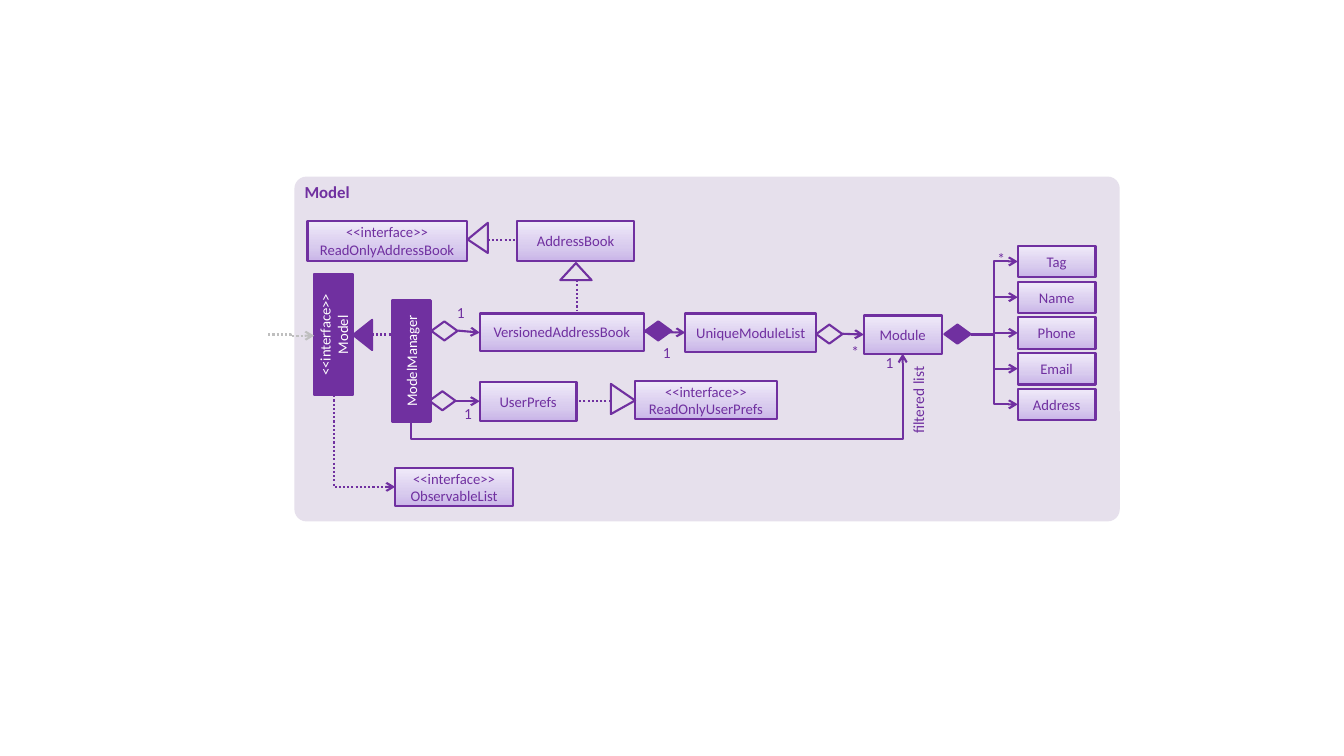
from pptx import Presentation
from pptx.dml.color import RGBColor
from pptx.enum.dml import MSO_LINE as Dash
from pptx.enum.shapes import MSO_CONNECTOR as Con, MSO_SHAPE as Geo
from pptx.enum.text import MSO_ANCHOR as Anchor, MSO_AUTO_SIZE as Fit, PP_ALIGN as Align
from pptx.oxml import parse_xml
from pptx.oxml.ns import nsdecls, qn
from pptx.util import Cm, Pt

VIOLET, LILAC, WHITE, GREY = "7030A0", "E6E0EC", "FFFFFF", "BFBFBF"
STOPS = ((0, "C9B5E8"), (35, "D8CBEE"), (100, "F0EAF9"))


def ink(code):
    return RGBColor.from_string(code)


def node(tag, attrs="", body=""):
    return parse_xml(f'<a:{tag} {nsdecls("a")} {attrs}>{body}</a:{tag}>')


def put(item, values):
    for name, value in values.items():
        setattr(item, name, value)


class Board:
    """Draws the elements of a class diagram on one slide."""

    def __init__(self, slide):
        self.slide = slide
        self.shapes = slide.shapes
        self.face = {"name": "Calibri", "size": Pt(10.5), "bold": False}
        self.pen = {"width": Pt(1.5)}

    def letter(self, shape, text, color=VIOLET, align=Align.CENTER, frame=None, **face):
        body = shape.text_frame
        body.text = text
        put(body, {"word_wrap": True, **(frame or {})})
        for para in body.paragraphs:
            para.alignment = align
            put(para.font, {**self.face, **face})
            para.font.color.rgb = ink(color)

    def shape(self, geo, spot, fill=None, line=VIOLET, turn=0, adj=None):
        item = self.shapes.add_shape(geo, *map(Cm, spot))
        item.shadow.inherit = False
        item.rotation = turn
        if adj is not None:
            item.adjustments[0] = adj
        if fill:
            item.fill.solid()
            item.fill.fore_color.rgb = ink(fill)
        else:
            item.fill.background()
        if line:
            put(item.line, self.pen)
            item.line.color.rgb = ink(line)
        else:
            item.line.fill.background()
        return item

    def panel(self, text, spot):
        back = self.shape(Geo.ROUNDED_RECTANGLE, spot, LILAC, None, adj=0.035)
        title = self.shapes.title
        left, top = spot[:2]
        put(title, {"left": Cm(left), "top": Cm(top), "width": Cm(5), "height": Cm(0.9)})
        self.letter(title, text, align=Align.LEFT, size=Pt(12), bold=True,
                    frame={"vertical_anchor": Anchor.TOP, "auto_size": Fit.NONE})
        back._element.addnext(title._element)

    def box(self, text, *spot):
        item = self.shape(Geo.RECTANGLE, spot)
        stops = "".join(f'<a:gs pos="{at * 1000}"><a:srgbClr val="{code}"/></a:gs>'
                        for at, code in STOPS)
        fade = node("gradFill", 'rotWithShape="1"',
                    f'<a:gsLst>{stops}</a:gsLst><a:lin ang="16200000" scaled="0"/>')
        props = item._element.spPr
        props.replace(props.find(qn("a:noFill")), fade)
        self.letter(item, text, frame={"vertical_anchor": Anchor.MIDDLE})

    def tower(self, text, *spot):
        item = self.shape(Geo.RECTANGLE, spot, VIOLET, turn=270)
        self.letter(item, text, WHITE, frame={"vertical_anchor": Anchor.MIDDLE})

    def label(self, text, spot, turn=0, align=Align.CENTER, inset=0):
        item = self.shapes.add_textbox(*map(Cm, spot))
        item.rotation = turn
        sides = ("margin_left", "margin_right", "margin_top", "margin_bottom")
        frame = dict.fromkeys(sides, Cm(inset))
        self.letter(item, text, align=align, size=Pt(11), frame=frame)

    def wire(self, *ends, kind=Con.STRAIGHT, color=VIOLET, dots=False, arrow=True,
             turn=0, geo=None, adj=None):
        item = self.shapes.add_connector(kind, *map(Cm, ends))
        put(item.line, self.pen)
        item.line.color.rgb = ink(color)
        if dots:
            item.line.dash_style = Dash.ROUND_DOT
        props = item._element.spPr
        if arrow:
            props.find(qn("a:ln")).append(node("tailEnd", 'type="arrow"'))
        if turn:
            props.find(qn("a:xfrm")).set("rot", str(turn * 60000))
        shape = props.find(qn("a:prstGeom"))
        if geo:
            shape.set("prst", geo)
        if adj is not None:
            guide = node("gd", f'name="adj1" fmla="val {adj}"')
            shape.find(qn("a:avLst")).append(guide)
        props.append(node("effectLst"))


deck = Presentation()
put(deck, {"slide_width": Cm(33.87), "slide_height": Cm(19.05)})
board = Board(deck.slides.add_slide(deck.slide_layouts[5]))
board.panel("Model", (7.42, 4.45, 20.8, 8.69))

board.tower("ModelManager", 8.84, 8.61, 3.05, 0.97)
board.tower("<<interface>>\nModel", 6.88, 7.95, 3.05, 0.97)

for text, *spot in (
    ("UserPrefs", 12.09, 9.63, 2.44, 0.97),
    ("VersionedAddressBook", 12.09, 7.9, 4.14, 0.94),
    ("UniqueModuleList", 17.27, 7.9, 3.3, 0.97),
    ("Module", 21.77, 7.95, 1.96, 0.97),
    ("<<interface>>\vReadOnlyAddressBook", 7.75, 5.56, 4.01, 1.02),
    ("AddressBook", 13.03, 5.56, 2.95, 1.02),
    ("<<interface>>\vObservableList", 9.96, 11.79, 2.97, 0.97),
    ("<<interface>>\nReadOnlyUserPrefs", 16, 9.6, 3.58, 0.97),
):
    board.box(text, *spot)

for row, text in enumerate(("Tag", "Name", "Phone", "Email", "Address")):
    top = 6.2 + 0.9 * row
    board.box(text, 25.65, top, 1.96, 0.79)
    board.wire(24.46, 8.43, 25.65, top + 0.39, kind=Con.ELBOW)

for left, top, fill in ((10.82, 9.86, None), (10.87, 8.1, None), (16.26, 8.1, VIOLET),
                        (20.57, 8.18, None), (23.8, 8.18, VIOLET)):
    board.shape(Geo.FLOWCHART_DECISION, (left, top, 0.66, 0.48), fill)

for spot, fill, turn, adj in (
    ((8.76, 8.2, 0.76, 0.48), VIOLET, 270, 0.5),
    ((14.12, 6.63, 0.79, 0.43), LILAC, 0, 0.5),
    ((11.66, 5.74, 0.76, 0.51), LILAC, 270, 0.45),
    ((15.32, 9.75, 0.76, 0.61), LILAC, 90, 0.55),
):
    board.shape(Geo.ISOSCELES_TRIANGLE, spot, fill, turn=turn, adj=adj)

for ends in ((11.48, 10.11, 12.09, 10.11), (11.53, 8.33, 12.09, 8.38),
             (16.26, 8.36, 17.27, 8.38), (21.23, 8.41, 21.77, 8.43)):
    board.wire(*ends)

for ends in ((9.37, 8.43, 9.98, 8.43), (14.53, 7.06, 14.53, 7.82),
             (12.29, 6.05, 13.03, 6.05), (15.39, 10.11, 14.53, 10.11)):
    board.wire(*ends, dots=True, arrow=False)

board.wire(6.76, 8.43, 7.92, 8.46, kind=Con.ELBOW, color=GREY, dots=True)
board.wire(17.4, 15.96, 15.7, 3.56, kind=Con.ELBOW, turn=90, adj=-26700)
board.wire(10.34, 10.34, 8.03, 11.89, kind=Con.ELBOW, dots=True, turn=270,
           geo="bentConnector2")

for text, left, top in (("1", 16.54, 8.64), ("*", 21.29, 8.61), ("1", 11.35, 7.65),
                        ("1", 11.53, 10.19), ("1", 22.15, 8.89), ("*", 24.97, 6.27)):
    board.label(text, (left, top, 0.53, 0.51))
board.label("filtered list", (21.92, 9.96, 2.44, 0.74), 270, Align.RIGHT, 0.13)

deck.save("out.pptx")
